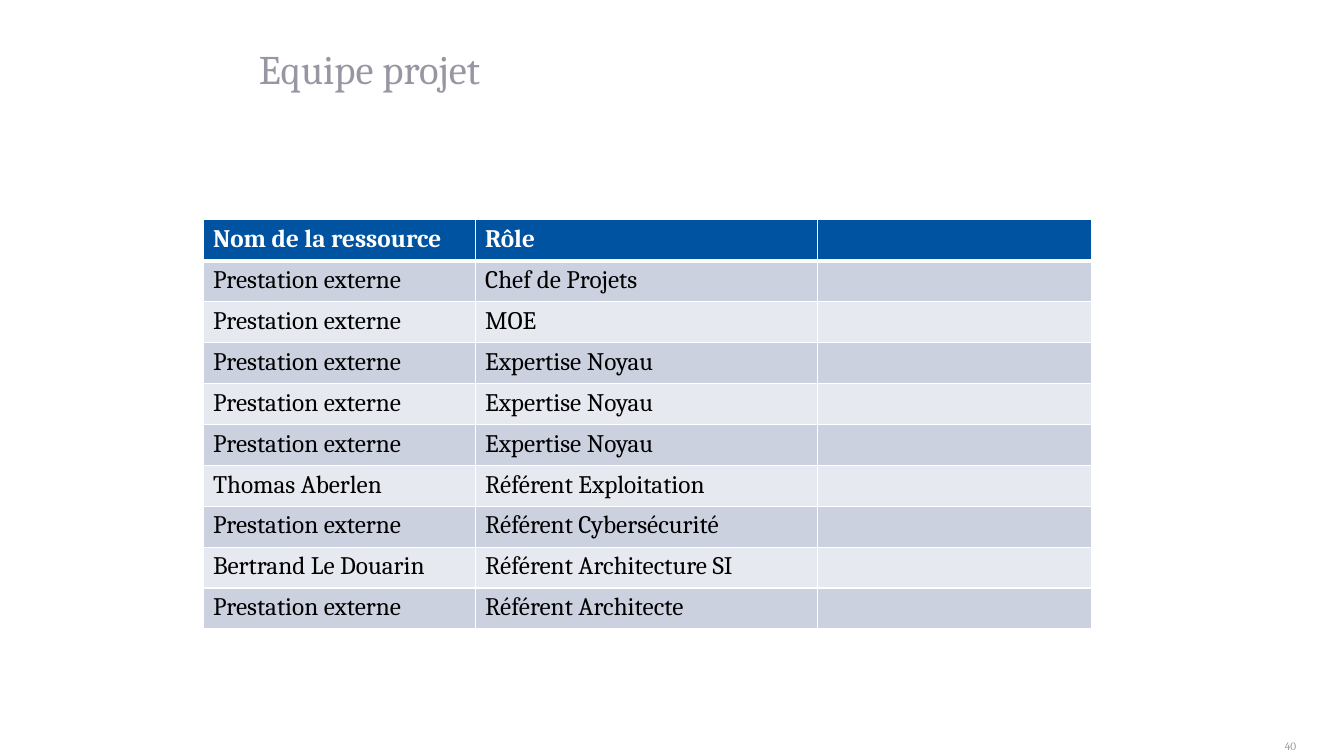
from dataclasses import dataclass

from lxml import etree
from pptx import Presentation
from pptx.dml.color import RGBColor
from pptx.enum.text import MSO_ANCHOR, MSO_AUTO_SIZE, PP_ALIGN
from pptx.oxml.ns import qn
from pptx.util import Pt

LEFT, RIGHT = PP_ALIGN.LEFT, PP_ALIGN.RIGHT
TOP = MSO_ANCHOR.TOP
NO_AUTOFIT = MSO_AUTO_SIZE.NONE
FONT = "Cambria"
GREY, WHITE, BLACK = "9796A3", "FFFFFF", "000000"
HEADER_FILL = "0053A1"
BAND_FILLS = ("CCD1E0", "E7E9F0")
COLUMN_WIDTHS = (194.4, 244.8, 195.84)
ROW_HEIGHT = 29.25
EXTERNAL = "Prestation externe"


@dataclass(frozen=True)
class Member:
    """A team member and the role held in the project."""

    name: str
    role: str


@dataclass(frozen=True)
class Label:
    """A line of text with its frame and style, in points."""

    text: str
    left: float
    top: float
    width: float
    height: float
    size: float
    align: PP_ALIGN


HEADER = Member("Nom de la ressource", "Rôle")
TEAM = (
    Member(EXTERNAL, "Chef de Projets"),
    Member(EXTERNAL, "MOE"),
    *[Member(EXTERNAL, "Expertise Noyau")] * 3,
    Member("Thomas Aberlen", "Référent Exploitation"),
    Member(EXTERNAL, "Référent Cybersécurité"),
    Member("Bertrand Le Douarin", "Référent Architecture SI"),
    Member(EXTERNAL, "Référent Architecte"),
)
TITLE = Label("Equipe projet", 185, 31.7, 741, 90.7, 29, LEFT)
PAGE_NUMBER = Label("40", 865.4, 527.8, 60.5, 12.2, 8, RIGHT)


def rgb(color: str) -> RGBColor:
    """Turn a hex string into a colour."""
    return RGBColor.from_string(color)


def style_paragraph(para, size: float, color: str, bold: bool = False) -> None:
    """Set the font of a whole paragraph."""
    para.font.name = FONT
    para.font.size = Pt(size)
    para.font.bold = bold
    para.font.color.rgb = rgb(color)


def format_label(box, label: Label) -> None:
    """Place a text shape and fill it with its label."""
    box.left, box.top = Pt(label.left), Pt(label.top)
    box.width, box.height = Pt(label.width), Pt(label.height)
    frame = box.text_frame
    frame.text = label.text
    frame.word_wrap = True
    frame.auto_size = NO_AUTOFIT
    frame.vertical_anchor = TOP
    frame.margin_left = frame.margin_right = 0
    frame.margin_top = frame.margin_bottom = 0
    para = frame.paragraphs[0]
    para.alignment = label.align
    style_paragraph(para, label.size, GREY)


def add_borders(cell, top: float, bottom: float) -> None:
    """Draw white cell borders, with the given top and bottom widths."""
    properties = cell._tc.get_or_add_tcPr()
    widths = {"lnL": 1, "lnR": 1, "lnT": top, "lnB": bottom}
    for position, (tag, width) in enumerate(widths.items()):
        line = etree.Element(qn(f"a:{tag}"), w=str(Pt(width)))
        fill = etree.SubElement(line, qn("a:solidFill"))
        etree.SubElement(fill, qn("a:srgbClr"), val=WHITE)
        properties.insert(position, line)


def add_team_table(page) -> None:
    """Add the table of members and roles below its header."""
    members = (HEADER, *TEAM)
    table = page.shapes.add_table(
        len(members), len(COLUMN_WIDTHS), Pt(145), Pt(157),
        Pt(sum(COLUMN_WIDTHS)), Pt(ROW_HEIGHT * len(members)),
    ).table
    for column, width in zip(table.columns, COLUMN_WIDTHS):
        column.width = Pt(width)
    for index, (row, member) in enumerate(zip(table.rows, members)):
        row.height = Pt(ROW_HEIGHT)
        is_header = index == 0
        fill = HEADER_FILL if is_header else BAND_FILLS[(index - 1) % 2]
        for cell, text in zip(row.cells, (member.name, member.role, "")):
            cell.text = text
            cell.fill.solid()
            cell.fill.fore_color.rgb = rgb(fill)
            style_paragraph(cell.text_frame.paragraphs[0], 18,
                            WHITE if is_header else BLACK, is_header)
            add_borders(cell, 3 if index == 1 else 1, 3 if is_header else 1)


def main() -> None:
    """Build the project team slide and save the deck."""
    deck = Presentation()
    deck.slide_width, deck.slide_height = Pt(960), Pt(540)
    page = deck.slides.add_slide(deck.slide_layouts[5])
    format_label(page.shapes.title, TITLE)
    format_label(page.shapes.add_textbox(0, 0, 0, 0), PAGE_NUMBER)
    add_team_table(page)
    deck.save("out.pptx")


if __name__ == "__main__":
    main()
